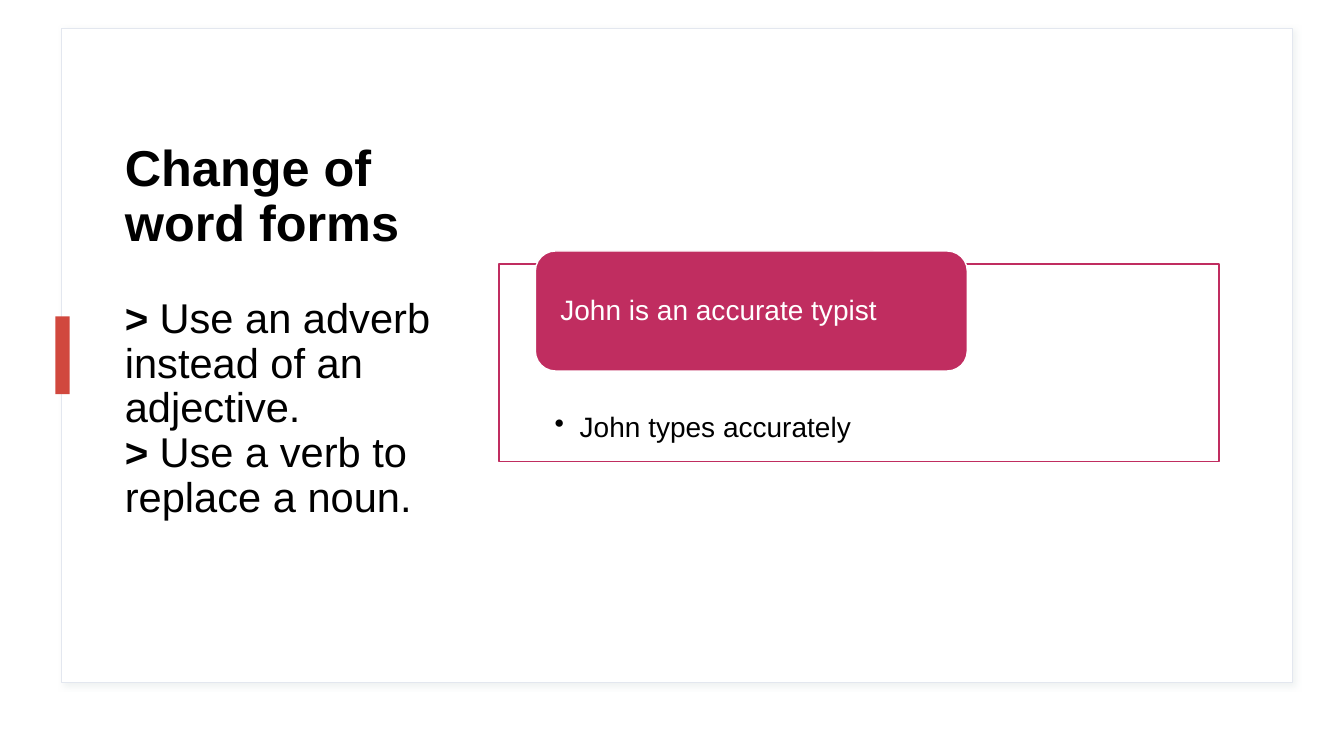
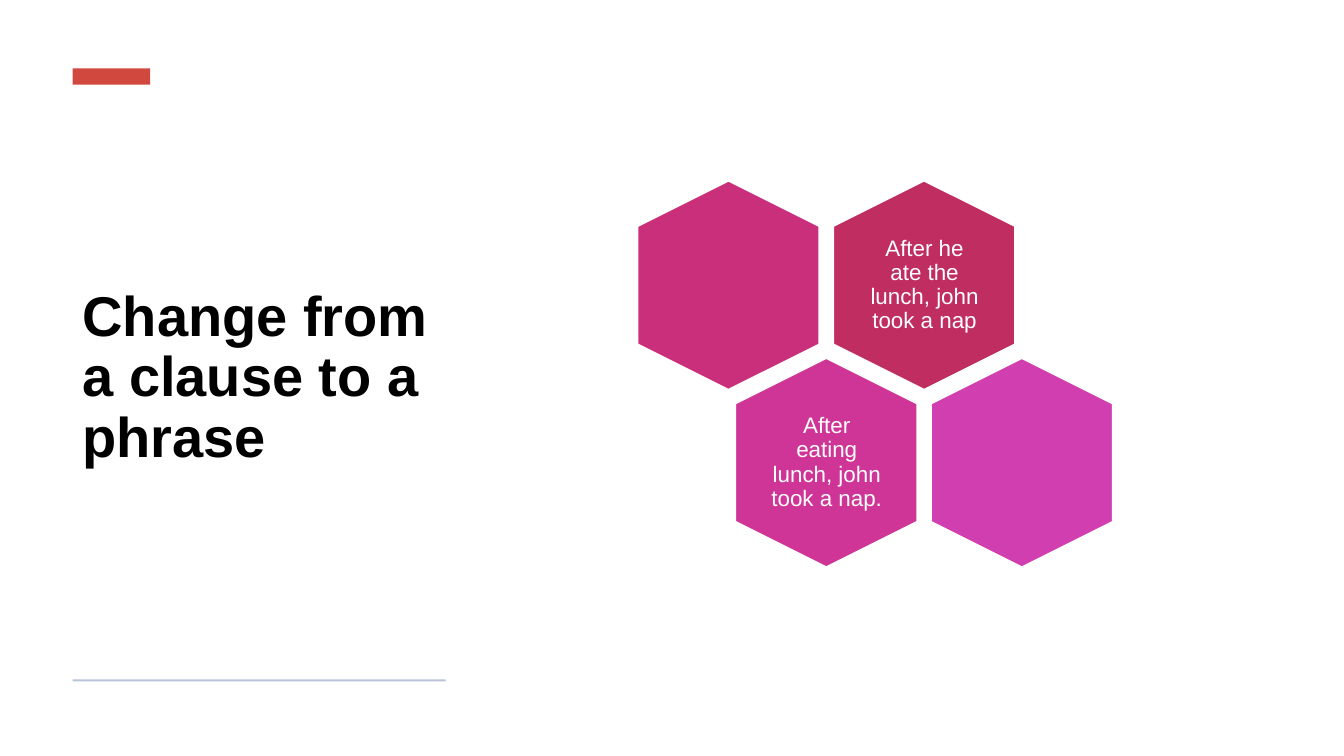
from dataclasses import dataclass

from lxml import etree
from pptx import Presentation
from pptx.dml.color import RGBColor
from pptx.enum.shapes import MSO_SHAPE
from pptx.enum.text import MSO_ANCHOR, PP_ALIGN
from pptx.oxml.ns import qn
from pptx.util import Inches, Pt

RECT, ROUND, HEX = MSO_SHAPE.RECTANGLE, MSO_SHAPE.ROUNDED_RECTANGLE, MSO_SHAPE.HEXAGON
TOP, MIDDLE = MSO_ANCHOR.TOP, MSO_ANCHOR.MIDDLE
LEFT, CENTER = PP_ALIGN.LEFT, PP_ALIGN.CENTER


@dataclass(frozen=True)
class Theme:
    font: str = "Arial"
    black: str = "000000"
    white: str = "FFFFFF"
    accent: str = "D1483E"
    rule: str = "B9C3D8"
    edge: str = "E3E7EF"
    shade: str = "C8D3D3"
    berry: str = "C02D60"
    rose: str = "C92F7A"
    pink: str = "CF3596"
    orchid: str = "D13EAF"
    title: float = 40
    head: float = 36
    point: float = 29.7
    mark: float = 28.8
    body: float = 20
    cell: float = 16
    spacing: float = 0.9


THEME = Theme()


def add_box(slide, kind, box, fill, line=None):
    """Add a filled preset shape with an optional 1 pt outline."""
    shape = slide.shapes.add_shape(kind, *map(Inches, box))
    shape.shadow.inherit = False
    shape.fill.solid()
    shape.fill.fore_color.rgb = RGBColor.from_string(fill)
    if line:
        shape.line.color.rgb = RGBColor.from_string(line)
        shape.line.width = Pt(1)
    else:
        shape.line.fill.background()
    return shape


def add_text(slide, box):
    return slide.shapes.add_textbox(*map(Inches, box))


def set_frame(shape, anchor=MIDDLE, inset=(0.1, 0.05, 0.1, 0.05)):
    """Set wrapping, anchor and insets (left, top, right, bottom)."""
    frame = shape.text_frame
    frame.word_wrap = True
    frame.vertical_anchor = anchor
    (frame.margin_left, frame.margin_top,
     frame.margin_right, frame.margin_bottom) = map(Inches, inset)
    return frame


def style(para, size, color, bold=False, align=LEFT):
    para.alignment = align
    para.line_spacing = THEME.spacing
    font = para.font
    font.name, font.size, font.bold = THEME.font, Pt(size), bold
    font.color.rgb = RGBColor.from_string(color)


def write(frame, text, size, color, bold=False, align=LEFT):
    para = frame.paragraphs[0]
    para.text = text
    style(para, size, color, bold, align)


def add_shadow(shape):
    effects = shape._element.spPr.find(qn("a:effectLst"))
    outer = etree.SubElement(effects, qn("a:outerShdw"), blurRad=str(Pt(4)),
                             dist=str(Pt(3)), dir="2700000", algn="tl")
    color = etree.SubElement(outer, qn("a:srgbClr"), val=THEME.shade)
    etree.SubElement(color, qn("a:alpha"), val="30000")


def add_bullet(para, indent):
    props = para._p.get_or_add_pPr()
    props.set("marL", str(Inches(indent)))
    props.set("indent", str(-Inches(indent)))
    etree.SubElement(props, qn("a:buChar"), char="•")


def add_rules(slide, box, head, points):
    """Heading followed by points with a bold mark."""
    frame = set_frame(add_text(slide, box))
    write(frame, head, THEME.head, THEME.black, bold=True)
    frame.paragraphs[0].space_after = Pt(32)
    for point in points:
        para = frame.add_paragraph()
        mark = para.add_run()
        mark.text = "> "
        mark.font.bold, mark.font.size = True, Pt(THEME.mark)
        para.add_run().text = point
        style(para, THEME.point, THEME.black)


def add_card(slide, box, label, detail):
    """Outlined card with a label on its top edge and a bullet below."""
    left, top, width, height = box
    card = add_box(slide, RECT, box, THEME.white, THEME.berry)
    frame = set_frame(card, TOP, (0.55, 1.48, 0.55, 0.16))
    add_bullet(frame.paragraphs[0], 0.25)
    write(frame, detail, THEME.body, THEME.black)

    tab = add_box(slide, ROUND, (left + 0.36, top - 0.13, width * 0.6, 1.19),
                  THEME.berry, THEME.white)
    write(set_frame(tab, inset=(0.19, 0, 0.19, 0)), label, THEME.body, THEME.white)


def add_comb(slide, left, top, cells):
    """Honeycomb of upright hexagons, two to a row, odd rows shifted."""
    width, height, step, drop = 2.07, 1.8, 1.94, 1.76
    for i, (fill, text) in enumerate(cells):
        row, col = divmod(i, 2)
        x, y = left + (col + row / 2) * step, top + row * drop
        cell = add_box(slide, HEX, (x, y, width, height), fill, THEME.white)
        cell.adjustments[0] = 0.25
        cell.rotation = 90
        if text:
            note = add_text(slide, (x + 0.42, y + 0.19, 1.24, 1.42))
            frame = set_frame(note, inset=(0.07,) * 4)
            write(frame, text, THEME.cell, THEME.white, align=CENTER)


def build_forms(slide):
    # Panel and side accent
    add_shadow(add_box(slide, RECT, (0.61, 0.28, 12.21, 6.49), THEME.white, THEME.edge))
    add_box(slide, RECT, (0.55, 3.14, 0.14, 0.77), THEME.accent)
    # Rules and example
    add_rules(slide, (1.14, 0.55, 3.27, 5.5), "Change of word forms",
              ["Use an adverb instead of an adjective.",
               "Use a verb to replace a noun."])
    add_card(slide, (4.95, 2.62, 7.14, 1.96),
             "John is an accurate typist", "John types accurately")


def build_clause(slide):
    # Title between accent and rule
    add_box(slide, RECT, (0.72, 0.68, 0.77, 0.16), THEME.accent)
    title = set_frame(add_text(slide, (0.72, 1.05, 3.87, 5.41)))
    write(title, "Change from a clause to a phrase", THEME.title, THEME.black, bold=True)
    add_box(slide, RECT, (0.72, 6.74, 3.7, 0.02), THEME.rule)
    # Examples
    add_comb(slide, 6.19, 1.93, [
        (THEME.rose, ""),
        (THEME.berry, "After he ate the lunch, john took a nap"),
        (THEME.pink, "After eating lunch, john took a nap."),
        (THEME.orchid, ""),
    ])


def main():
    deck = Presentation()
    deck.slide_width, deck.slide_height = Inches(13.33), Inches(7.5)
    for build in (build_forms, build_clause):
        build(deck.slides.add_slide(deck.slide_layouts[6]))
    deck.save("out.pptx")


if __name__ == "__main__":
    main()
